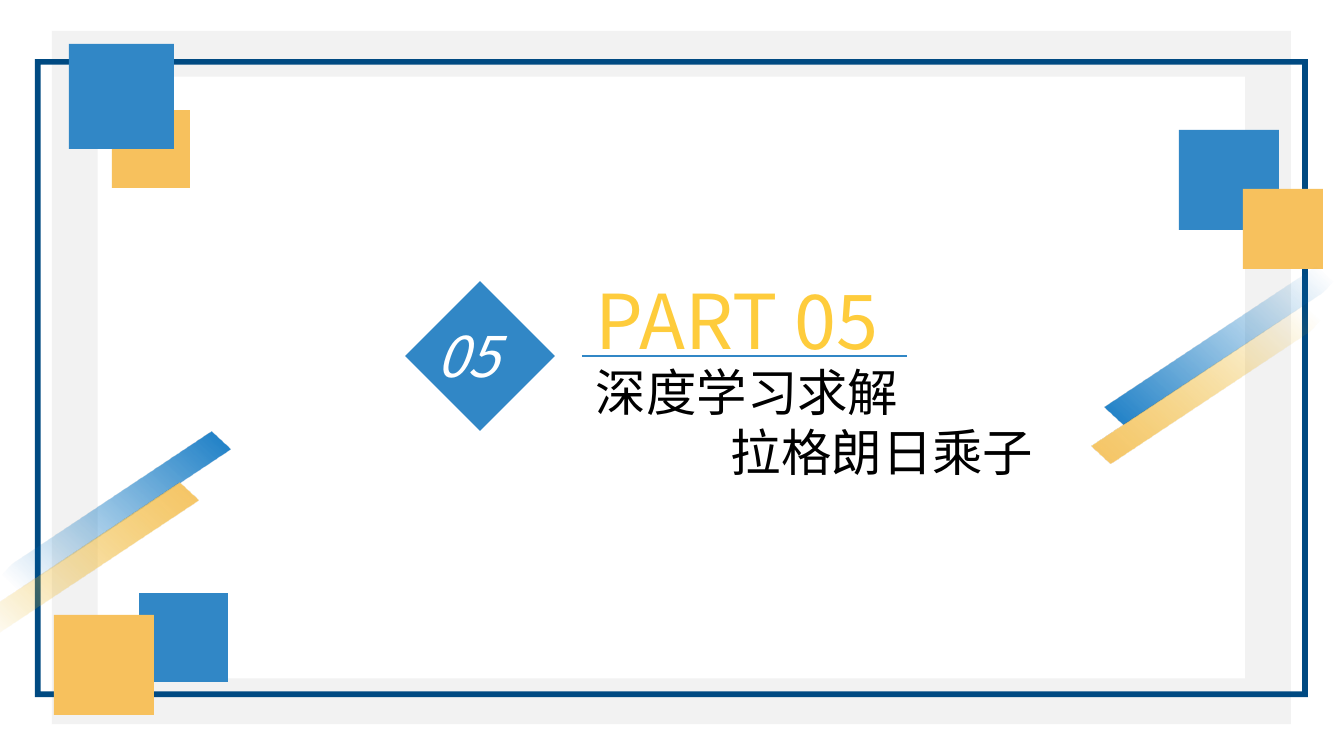
from dataclasses import dataclass

from lxml.etree import SubElement
from pptx import Presentation
from pptx.dml.color import RGBColor
from pptx.enum.shapes import MSO_CONNECTOR, MSO_SHAPE
from pptx.oxml.ns import qn
from pptx.util import Emu, Pt

SCALE = 12192000 / 1344


@dataclass(frozen=True)
class Theme:
    blue: str = "3187C6"
    gold: str = "F7C15D"
    navy: str = "004A82"
    gray: str = "F2F2F2"
    white: str = "FFFFFF"
    black: str = "000000"
    heading: str = "FECC3C"
    stripe_blue: tuple = ("0070C0", "0070C0")
    stripe_gold: tuple = ("F7C15D", "E9AC01")
    font: str = "Noto Sans CJK SC"
    number_size: int = 40
    title_size: int = 36
    heading_size: int = 54


THEME = Theme()


def px(value):
    return Emu(round(value * SCALE))


def color(value):
    return RGBColor.from_string(value)


def add_plain_shape(page, kind, left, top, width, height, rotation=0):
    shape = page.shapes.add_shape(kind, px(left), px(top), px(width), px(height))
    shape.shadow.inherit = False
    shape.line.fill.background()
    shape.rotation = rotation
    return shape


def add_frame(page, left, top, width, height, thickness, fill):
    frame = add_plain_shape(page, MSO_SHAPE.FRAME, left, top, width, height)
    frame.adjustments[0] = thickness
    frame.fill.solid()
    frame.fill.fore_color.rgb = color(fill)


def add_square(page, left, top, side, fill, rotation=0):
    square = add_plain_shape(page, MSO_SHAPE.RECTANGLE, left, top, side, side, rotation)
    square.fill.solid()
    square.fill.fore_color.rgb = color(fill)


def add_stripe(page, left, top, rotation, colors):
    stripe = add_plain_shape(page, MSO_SHAPE.DIAGONAL_STRIPE, left, top, 343, 82, rotation)
    stripe.adjustments[0] = 0.678
    stripe._element.spPr.find(qn("a:xfrm")).set("flipH", "1")
    stripe.fill.gradient()
    stripe.fill.gradient_angle = 0
    for stop, position, value in zip(stripe.fill.gradient_stops, (0, 0.68), colors):
        stop.position = position
        stop.color.rgb = color(value)
    last_color = stripe._element.spPr.findall(".//" + qn("a:srgbClr"))[-1]
    SubElement(last_color, qn("a:alpha")).set("val", "0")


def add_text(page, left, top, width, height, lines, size, fill,
             wrap=False, italic=False, indents=(0,)):
    box = page.shapes.add_textbox(px(left), px(top), px(width), px(height))
    frame = box.text_frame
    frame.word_wrap = wrap
    frame.text = "\n".join(lines)
    formats = {"name": THEME.font, "size": Pt(size), "italic": italic}
    for para, indent in zip(frame.paragraphs, indents):
        if indent:
            para._p.get_or_add_pPr().set("marL", str(px(indent)))
        for span in para.runs:
            for name, value in formats.items():
                setattr(span.font, name, value)
            span.font.color.rgb = color(fill)
            SubElement(span.font._element, qn("a:ea")).set("typeface", THEME.font)


def add_rule(page, left, right, top):
    rule = page.shapes.add_connector(
        MSO_CONNECTOR.STRAIGHT, px(left), px(top), px(right), px(top))
    rule.line.color.rgb = color(THEME.blue)
    rule.line.width = Pt(2)
    SubElement(rule._element.spPr, qn("a:effectLst"))


def main():
    deck = Presentation()
    deck.slide_width, deck.slide_height = px(1344), px(756)
    page = deck.slides.add_slide(deck.slide_layouts[6])

    add_frame(page, 52, 31, 1239, 693, 0.066, THEME.gray)
    add_frame(page, 35, 59, 1273, 638, 0.009, THEME.navy)
    for left, top, side, fill in (
        (1179, 130, 100, THEME.blue),
        (112, 110, 78, THEME.gold),
        (139, 593, 89, THEME.blue),
        (69, 44, 105, THEME.blue),
        (54, 615, 100, THEME.gold),
        (1243, 189, 80, THEME.gold),
    ):
        add_square(page, left, top, side, fill)

    add_square(page, 427, 303, 106, THEME.blue, rotation=45)
    add_text(page, 427, 317, 86, 78, ["05"], THEME.number_size, THEME.white, italic=True)
    add_text(page, 586, 356, 495, 254, ["深度学习求解", "拉格朗日乘子"],
             THEME.title_size, THEME.black, wrap=True, indents=(0, 135))
    add_text(page, 586, 269, 319, 102, ["PART 05"], THEME.heading_size, THEME.heading)
    add_rule(page, 582, 907, 356)

    for left, top, rotation, colors in (
        (-88, 506, 312.9, THEME.stripe_blue),
        (-120, 557, 312.9, THEME.stripe_gold),
        (1080, 268, 132.9, THEME.stripe_blue),
        (1067, 307, 132.9, THEME.stripe_gold),
    ):
        add_stripe(page, left, top, rotation, colors)

    deck.save("out.pptx")


if __name__ == "__main__":
    main()
